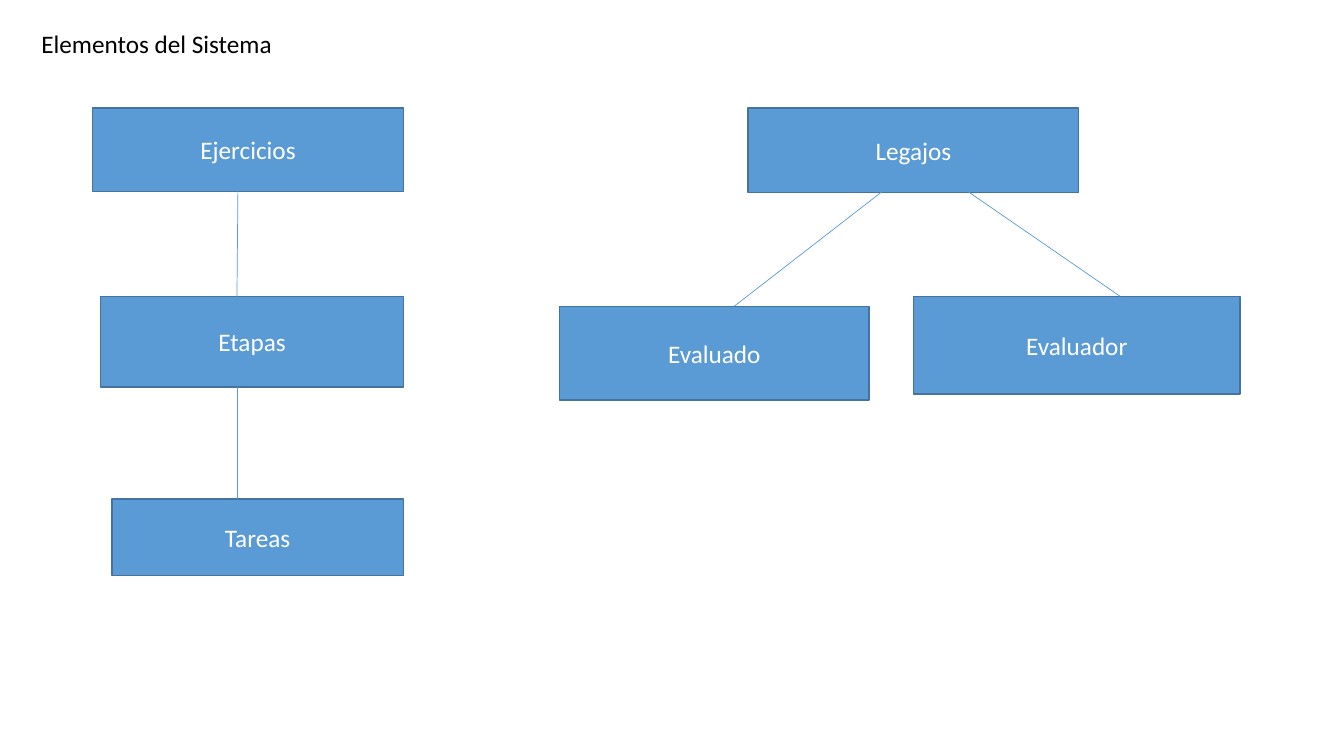
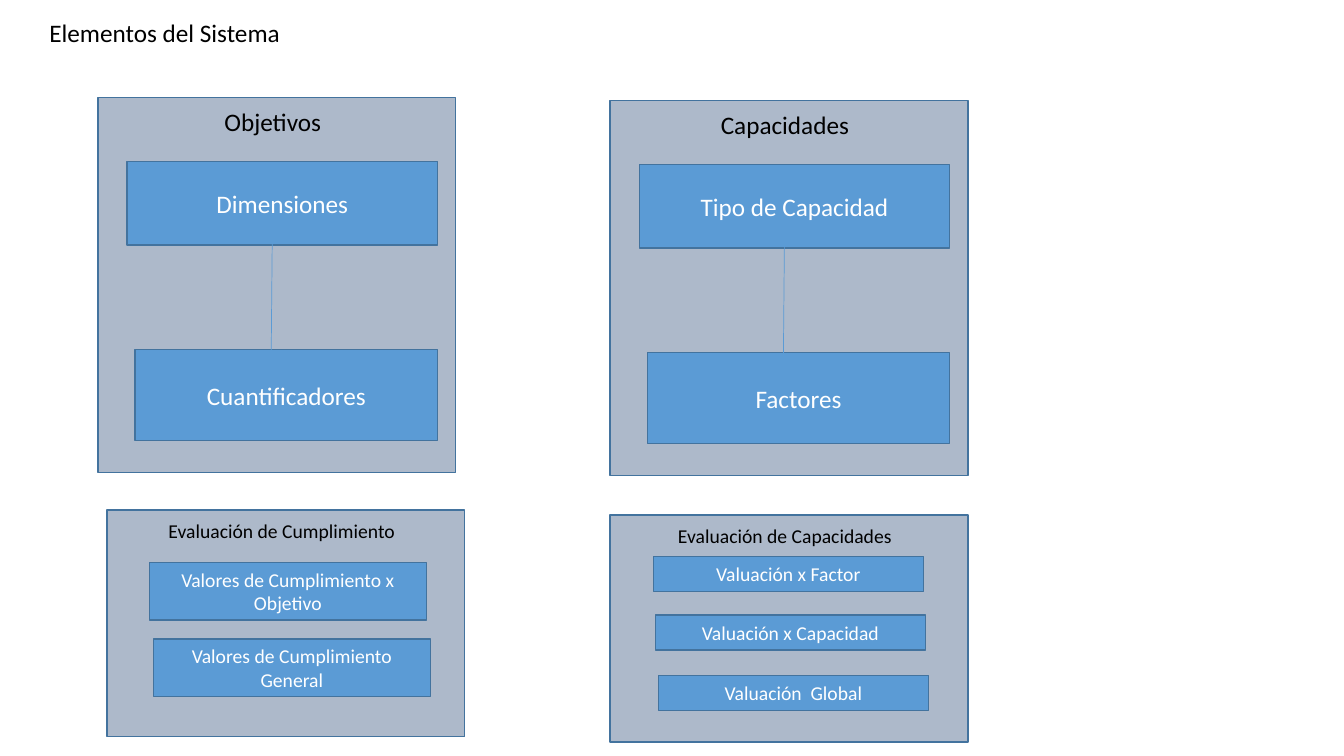
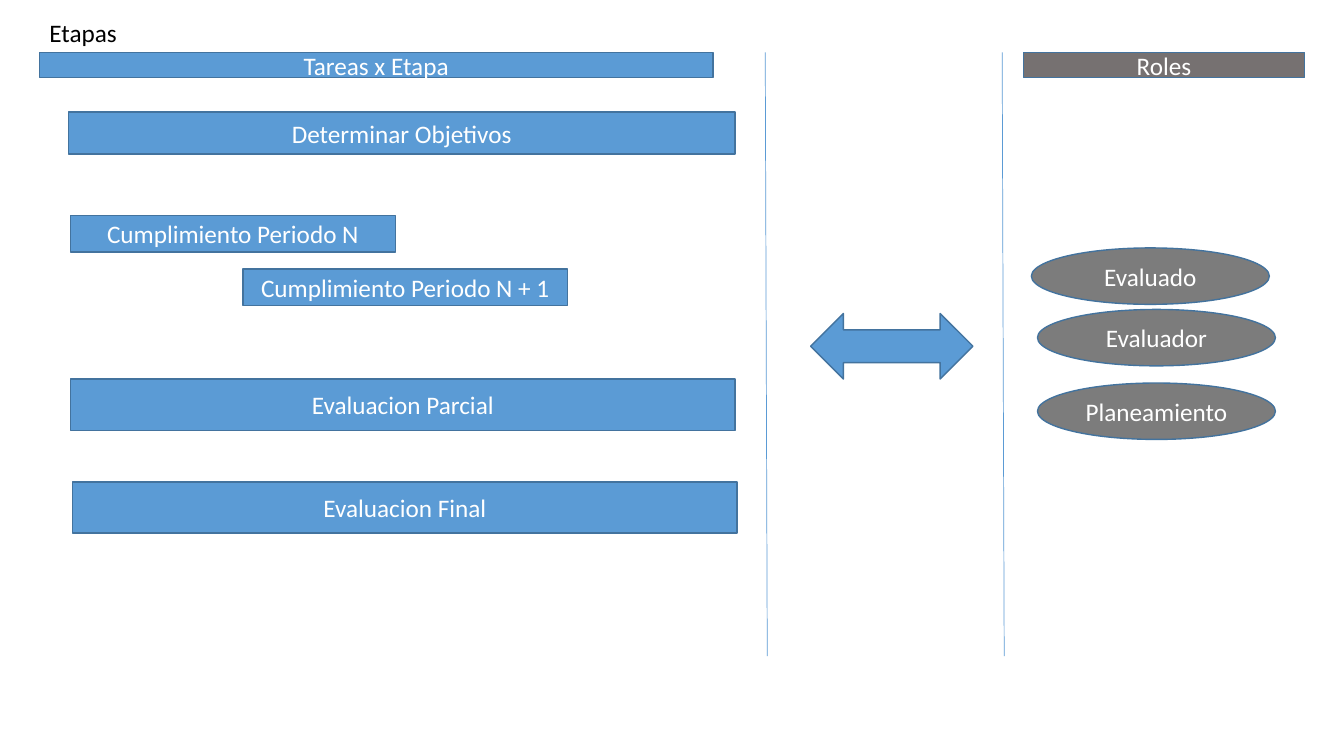
"""Build three slides on the elements, stages and roles of a review system."""
import pptx
import pptx.util
import pptx.dml.color
import pptx.enum.shapes
import pptx.enum.text
import pptx.oxml.ns
import lxml.etree

Inches = pptx.util.Inches
RGB = pptx.dml.color.RGBColor
Kind = pptx.enum.shapes.MSO_SHAPE
Align = pptx.enum.text.PP_ALIGN
Anchor = pptx.enum.text.MSO_ANCHOR

BLUE = RGB(0x5B, 0x9B, 0xD5)
EDGE = RGB(0x43, 0x73, 0x9E)
PANEL = RGB(0xAD, 0xB9, 0xCA)
GRAY = RGB(0x7C, 0x7C, 0x7C)
TAUPE = RGB(0x76, 0x71, 0x71)
WHITE = RGB(0xFF, 0xFF, 0xFF)
BLACK = RGB(0, 0, 0)
FONT = "Calibri"

TITLES = [
    ("Elementos del Sistema", 0.31, 0.23),
    ("Elementos del Sistema", 0.39, 0.12),
    ("Etapas", 0.39, 0.12),
]

TREE = [
    ("Ejercicios", 0.92, 1.07, 3.08, 0.83),
    ("Etapas", 1, 2.94, 3, 0.9),
    ("Tareas", 1.11, 4.95, 2.89, 0.76),
    ("Legajos", 7.42, 1.07, 3.28, 0.84),
    ("Evaluado", 5.55, 3.04, 3.07, 0.93),
    ("Evaluador", 9.06, 2.94, 3.24, 0.97),
]
LINKS = [
    (2.36, 1.85, 2.35, 2.98),
    (2.35, 3.84, 2.35, 4.95),
    (8.75, 1.9, 7.28, 3.04),
    (9.6, 1.9, 11.11, 2.94),
]

PAIRS = [
    (0.97, 0.97, "Objetivos", "Dimensiones", "Cuantificadores"),
    (6.05, 1, "Capacidades", "Tipo de Capacidad", "Factores"),
]
PANEL_W = 3.55
PAIR_H, GROUP_H = 3.72, 2.25
HEAD_W = 2.61
GROUPS = [
    (1.06, 5.06, "Evaluación de Cumplimiento", 2.75, 0.57, [
        ("Valores de Cumplimiento x Objetivo", 0.42, 0.52),
        ("Valores de Cumplimiento General", 0.46, 1.28)]),
    (6.05, 5.11, "Evaluación de Capacidades", 2.68, 0.35, [
        ("Valuación x Factor", 0.43, 0.41),
        ("Valuación x Capacidad", 0.45, 0.99),
        ("Valuación  Global", 0.48, 1.59)]),
]

TASKS = [
    ("Tareas x Etapa", 0.39, 0.52, 6.68, 0.25),
    ("Determinar Objetivos", 0.68, 1.11, 6.61, 0.42),
    ("Cumplimiento Periodo N", 0.7, 2.14, 3.22, 0.36),
    ("Cumplimiento Periodo N + 1", 2.41, 2.67, 3.22, 0.36),
    ("Evaluacion Parcial", 0.7, 3.76, 6.59, 0.51),
    ("Evaluacion Final", 0.72, 4.78, 6.59, 0.51),
]
ROLES = [
    ("Evaluado", 10.23, 2.46),
    ("Evaluador", 10.29, 3.07),
    ("Planeamiento", 10.29, 3.8),
]
RULES = [7.59, 9.94]


def write(frame, text, size, color, align):
    """Write one run of text in a frame."""
    frame.word_wrap = True
    para = frame.paragraphs[0]
    para.alignment = align
    run = para.add_run()
    run.text = text
    run.font.name = FONT
    run.font.size = pptx.util.Pt(size)
    run.font.color.rgb = color


def box(slide, text, x, y, w, h, size=18, fill=BLUE, kind=Kind.RECTANGLE):
    """Draw a filled shape with centred white text."""
    shape = slide.shapes.add_shape(kind, *map(Inches, (x, y, w, h)))
    shape.shadow.inherit = False
    shape.fill.solid()
    shape.fill.fore_color.rgb = fill
    shape.line.color.rgb = EDGE
    shape.line.width = pptx.util.Pt(1)
    if text:
        write(shape.text_frame, text, size, WHITE, Align.CENTER)


def link(slide, *ends):
    """Draw a thin line between two points."""
    line = slide.shapes.add_connector(
        pptx.enum.shapes.MSO_CONNECTOR.STRAIGHT, *map(Inches, ends))
    line.line.color.rgb = BLUE
    line.line.width = pptx.util.Pt(0.5)
    props = line._element.spPr
    lxml.etree.SubElement(props, pptx.oxml.ns.qn("a:effectLst"))


def head(slide, text, x, y, size):
    """Add the heading of a panel."""
    label = slide.shapes.add_textbox(
        *map(Inches, (x, y, HEAD_W, 0.4 if size == 18 else 0.34)))
    write(label.text_frame, text, size, BLACK, Align.CENTER)


def start(deck, text, x, y):
    """Add a slide with its title."""
    slide = deck.slides.add_slide(deck.slide_layouts[5])
    title = slide.shapes.title
    title.left, title.top, title.width, title.height = map(
        Inches, (x, y, 7.43, 0.4))
    frame = title.text_frame
    frame.auto_size = pptx.enum.text.MSO_AUTO_SIZE.NONE
    frame.vertical_anchor = Anchor.TOP
    write(frame, text, 18, BLACK, Align.LEFT)
    return slide


def draw_tree(slide):
    """Draw the two trees of elements."""
    for item in TREE:
        box(slide, *item)
    for ends in LINKS:
        link(slide, *ends)


def draw_panels(slide):
    """Draw the four panels of goals and skills."""
    for x, y, name, top, low in PAIRS:
        box(slide, "", x, y, PANEL_W, PAIR_H, fill=PANEL)
        box(slide, top, x + 0.29, y + 0.63, 3.08, 0.83)
        box(slide, low, x + 0.37, y + 2.5, 3, 0.9)
        link(slide, x + 1.73, y + 1.41, x + 1.72, y + 2.55)
        head(slide, name, x + 0.43, y + 0.04, 18)
    for x, y, name, w, h, items in GROUPS:
        box(slide, "", x, y, PANEL_W, GROUP_H, fill=PANEL)
        head(slide, name, x + 0.43, y + 0.04, 14)
        for text, dx, dy in items:
            box(slide, text, x + dx, y + dy, w, h, 14)


def draw_stages(slide):
    """Draw the tasks, the roles and the arrow between them."""
    for item in TASKS:
        box(slide, *item)
    for text, x, y in ROLES:
        box(slide, text, x, y, 2.36, 0.56, fill=GRAY, kind=Kind.OVAL)
    box(slide, "Roles", 10.15, 0.52, 2.79, 0.25, fill=TAUPE)
    box(slide, "", 8.04, 3.11, 1.61, 0.65, kind=Kind.LEFT_RIGHT_ARROW)
    for x in RULES:
        link(slide, x, 0.52, x + 0.02, 6.51)


deck = pptx.Presentation()
deck.slide_width, deck.slide_height = Inches(13.33), Inches(7.5)
for title, draw in zip(TITLES, (draw_tree, draw_panels, draw_stages)):
    draw(start(deck, *title))
deck.save("out.pptx")
